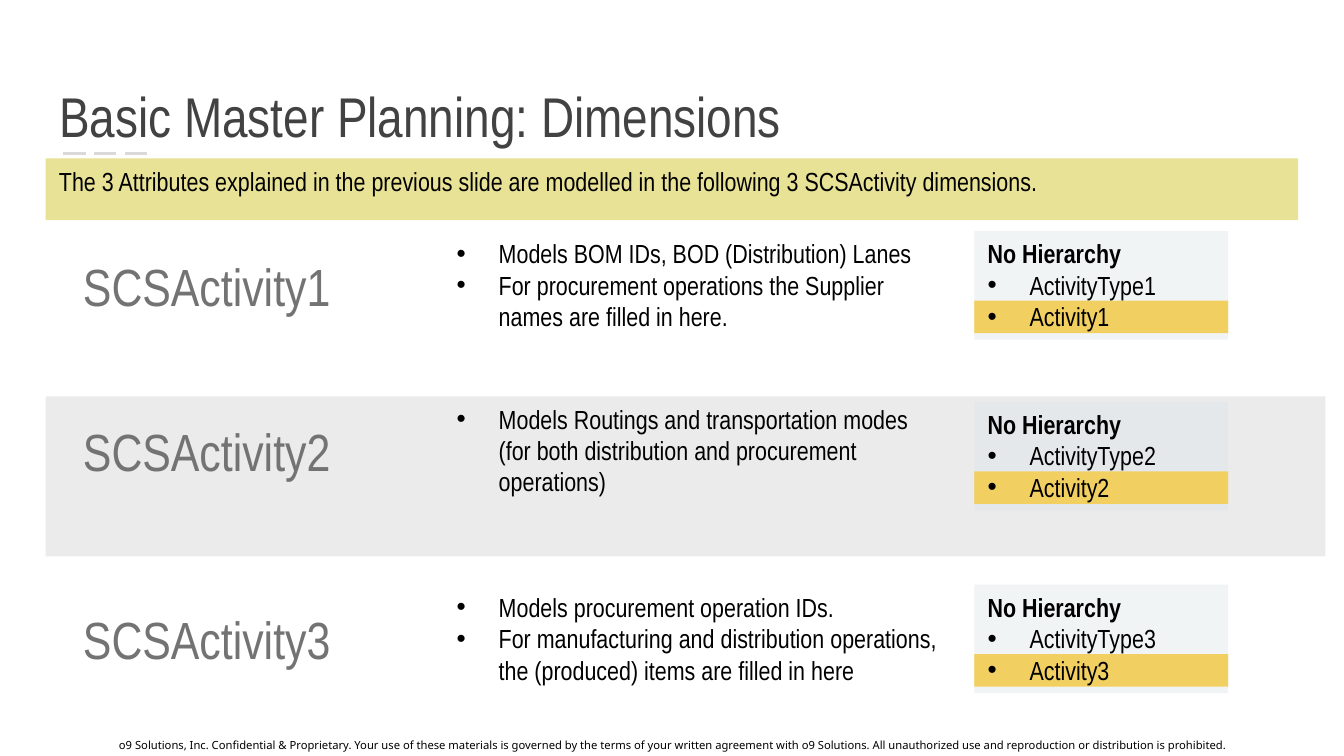
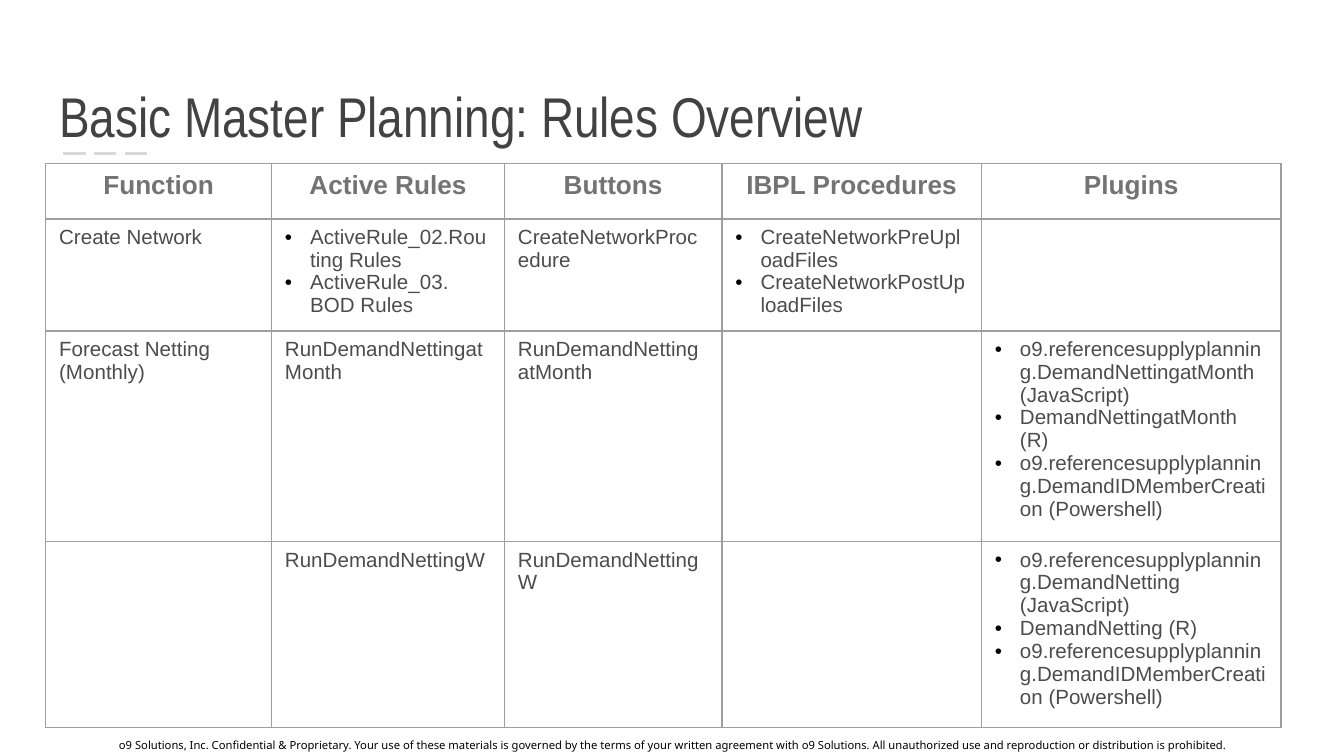
import lxml.etree
import pptx
import pptx.dml.color
import pptx.enum.dml
import pptx.enum.shapes
import pptx.enum.text
import pptx.oxml.ns
import pptx.util

Pt = pptx.util.Pt
qn = pptx.oxml.ns.qn
PP_ALIGN = pptx.enum.text.PP_ALIGN
ANCHOR = pptx.enum.text.MSO_ANCHOR

# Shared style
NARROW, SANS, FOOTER_FONT = "Arial Narrow", "Arial", "Noto Sans"
BLACK, TITLE_GREY, LABEL_GREY, BODY_GREY = "000000", "424242", "737373", "4C4C4C"
DASH_GREY, BORDER_GREY, BAND_GREY = "D9D9D9", "9E9E9E", "EBEBEB"
PALE_BLUE, GOLD, OLIVE = "DEE5E9", "FFC000", "C9BA06"
LEFT, CONTENT_WIDTH = 24.5, 671

FOOTER = (
    "o9 Solutions, Inc. Confidential & Proprietary. Your use of these materials is "
    "governed by the terms of your written agreement with o9 Solutions. All "
    "unauthorized use and reproduction or distribution is prohibited."
)

# Slide 1: one entry per dimension, with its top, hierarchy top and text size
DIMENSIONS_TITLE = "Basic Master Planning: Dimensions"
INTRODUCTION = (
    "The 3 Attributes explained in the previous slide are modelled in the "
    "following 3 SCSActivity dimensions."
)
DIMENSIONS = [
    (123.84, 123.84, (273.6, 62.6), [
        "Models BOM IDs, BOD (Distribution) Lanes",
        "For procurement operations the Supplier names are filled in here.",
    ]),
    (212.4, 215.28, (260, 24.5), [
        "Models Routings and transportation modes (for both distribution and "
        "procurement operations)",
    ]),
    (313.2, 313.2, (273.6, 62.6), [
        "Models procurement operation IDs.",
        "For manufacturing and distribution operations, the (produced) items are "
        "filled in here",
    ]),
]

# Slide 2: a list in a cell is bulleted
RULES_TITLE = "Basic Master Planning: Rules Overview"
RULES_HEADER = ["Function", "Active Rules", "Buttons", "IBPL Procedures", "Plugins"]
MEMBER_CREATION = "o9.referencesupplyplanning.DemandIDMemberCreation (Powershell)"
RULES = [
    ["Create Network",
     ["ActiveRule_02.Routing Rules", "ActiveRule_03. BOD Rules"],
     "CreateNetworkProcedure",
     ["CreateNetworkPreUploadFiles", "CreateNetworkPostUploadFiles"],
     ""],
    ["Forecast Netting (Monthly)", "RunDemandNettingatMonth",
     "RunDemandNettingatMonth", "",
     ["o9.referencesupplyplanning.DemandNettingatMonth (JavaScript)",
      "DemandNettingatMonth (R)", MEMBER_CREATION]],
    ["", "RunDemandNettingW", "RunDemandNettingW", "",
     ["o9.referencesupplyplanning.DemandNetting (JavaScript)",
      "DemandNetting (R)", MEMBER_CREATION]],
]
COLUMN_WIDTHS = [121, 124.8, 116.5, 139, 160.6]
ROW_HEIGHT = 29.5


def color(value):
    return pptx.dml.color.RGBColor.from_string(value)


def style(paragraph, size, font, value, bold=False, alignment=PP_ALIGN.LEFT):
    paragraph.alignment = alignment
    paragraph.font.size = Pt(size)
    paragraph.font.name = font
    paragraph.font.bold = bold
    paragraph.font.color.rgb = color(value)


def add_bullet(paragraph, indent):
    properties = paragraph._p.get_or_add_pPr()
    properties.set("marL", str(Pt(indent)))
    properties.set("indent", str(-Pt(indent)))
    bullet_color = lxml.etree.SubElement(properties, qn("a:buClr"))
    lxml.etree.SubElement(bullet_color, qn("a:srgbClr"), val=BLACK)
    lxml.etree.SubElement(properties, qn("a:buFont"), typeface=SANS)
    lxml.etree.SubElement(properties, qn("a:buChar"), char="•")


def write(frame, lines, size, font, value, bullet_indent=None, heading=None,
          bold=False, alignment=PP_ALIGN.LEFT):
    """Write an optional bold heading, then lines that may be bulleted."""
    texts = ([heading] if heading else []) + lines
    for index, text in enumerate(texts):
        paragraph = frame.paragraphs[0] if index == 0 else frame.add_paragraph()
        paragraph.text = text
        is_heading = bool(heading) and index == 0
        if bullet_indent and not is_heading:
            add_bullet(paragraph, bullet_indent)
        style(paragraph, size, font, value, bold or is_heading, alignment)


def set_insets(frame, inset):
    frame.margin_left = frame.margin_right = Pt(inset)
    frame.margin_top = frame.margin_bottom = Pt(inset)


def add_rectangle(slide, left, top, width, height, fill, opacity=None):
    shape = slide.shapes.add_shape(
        pptx.enum.shapes.MSO_SHAPE.RECTANGLE, Pt(left), Pt(top), Pt(width), Pt(height))
    shape.shadow.inherit = False
    shape.line.fill.background()
    shape.fill.solid()
    shape.fill.fore_color.rgb = color(fill)
    if opacity:
        fill_color = shape.element.spPr.find(qn("a:solidFill")).find(qn("a:srgbClr"))
        lxml.etree.SubElement(fill_color, qn("a:alpha"), val=str(opacity * 1000))
    shape.text_frame.word_wrap = True
    shape.text_frame.vertical_anchor = ANCHOR.TOP
    return shape


def add_text_box(slide, left, top, width, height, wrap=True):
    box = slide.shapes.add_textbox(Pt(left), Pt(top), Pt(width), Pt(height))
    box.text_frame.word_wrap = wrap
    return box.text_frame


def add_slide(presentation, title_text):
    """Add a slide with the title, dashed accent and footer."""
    slide = presentation.slides.add_slide(presentation.slide_layouts[5])
    title = slide.shapes.title
    title.left, title.top = Pt(LEFT), Pt(29.5)
    title.width, title.height = Pt(CONTENT_WIDTH), Pt(57.6)
    frame = title.text_frame
    frame.auto_size = pptx.enum.text.MSO_AUTO_SIZE.NONE
    frame.vertical_anchor = ANCHOR.BOTTOM
    set_insets(frame, 7.2)
    write(frame, [title_text], 30, NARROW, TITLE_GREY)

    accent = slide.shapes.add_connector(
        pptx.enum.shapes.MSO_CONNECTOR.STRAIGHT, Pt(33.8), Pt(82.1), Pt(82.1), Pt(82.1))
    accent.line.color.rgb = color(DASH_GREY)
    accent.line.width = Pt(1.5)
    accent.line.dash_style = pptx.enum.dml.MSO_LINE.LONG_DASH
    lxml.etree.SubElement(accent.element.spPr, qn("a:effectLst"))

    footer = add_text_box(slide, 0, 391.7, 720, 15)
    footer.vertical_anchor = ANCHOR.MIDDLE
    set_insets(footer, 7.2)
    write(footer, [FOOTER], 6, FOOTER_FONT, BLACK, alignment=PP_ALIGN.CENTER)
    return slide


def add_dimensions_slide(presentation):
    slide = add_slide(presentation, DIMENSIONS_TITLE)
    add_rectangle(slide, LEFT, 212.4, 685.5, 85.7, BAND_GREY)
    for number, (top, hierarchy_top, size, points) in enumerate(DIMENSIONS, 1):
        label = add_text_box(slide, 37.4, top + 8.6, 149, 41, wrap=False)
        write(label, [f"SCSActivity{number}"], 28, NARROW, LABEL_GREY)
        description = add_text_box(slide, 237.6, top, *size)
        write(description, points, 14, NARROW, BLACK, bullet_indent=22.5)

        # The gold bar shows through the translucent hierarchy box
        add_rectangle(slide, 522, hierarchy_top + 37.2, 136, 17.5, GOLD)
        hierarchy = add_rectangle(slide, 522, hierarchy_top, 136, 58.2, PALE_BLUE, 42)
        write(hierarchy.text_frame, [f"ActivityType{number}", f"Activity{number}"],
              14, NARROW, BLACK, bullet_indent=22.5, heading="No Hierarchy")
    banner = add_rectangle(slide, LEFT, 84.8, CONTENT_WIDTH, 33.1, OLIVE, 42)
    write(banner.text_frame, [INTRODUCTION], 14, NARROW, BLACK)


def set_borders(cell):
    properties = cell._tc.get_or_add_tcPr()
    for side in ("lnL", "lnR", "lnT", "lnB"):
        line = lxml.etree.SubElement(properties, qn(f"a:{side}"), w=str(Pt(0.75)))
        fill = lxml.etree.SubElement(line, qn("a:solidFill"))
        lxml.etree.SubElement(fill, qn("a:srgbClr"), val=BORDER_GREY)


def add_rules_slide(presentation):
    slide = add_slide(presentation, RULES_TITLE)
    rows = [RULES_HEADER] + RULES
    table = slide.shapes.add_table(
        len(rows), len(COLUMN_WIDTHS), Pt(LEFT), Pt(87.8),
        Pt(sum(COLUMN_WIDTHS)), Pt(ROW_HEIGHT * len(rows))).table
    table.first_row = table.horz_banding = False
    for column, width in zip(table.columns, COLUMN_WIDTHS):
        column.width = Pt(width)
    for row_index, row in enumerate(rows):
        table.rows[row_index].height = Pt(ROW_HEIGHT)
        for column_index, content in enumerate(row):
            cell = table.cell(row_index, column_index)
            set_borders(cell)
            cell.fill.background()
            if row_index == 0:
                write(cell.text_frame, [content], 14, SANS, LABEL_GREY,
                      bold=True, alignment=PP_ALIGN.CENTER)
            elif isinstance(content, list):
                write(cell.text_frame, content, 11, SANS, BODY_GREY, bullet_indent=13.5)
            else:
                write(cell.text_frame, [content], 11, SANS, BODY_GREY)


def main():
    presentation = pptx.Presentation()
    presentation.slide_width, presentation.slide_height = Pt(720), Pt(405)
    add_dimensions_slide(presentation)
    add_rules_slide(presentation)
    presentation.save("out.pptx")


if __name__ == "__main__":
    main()
